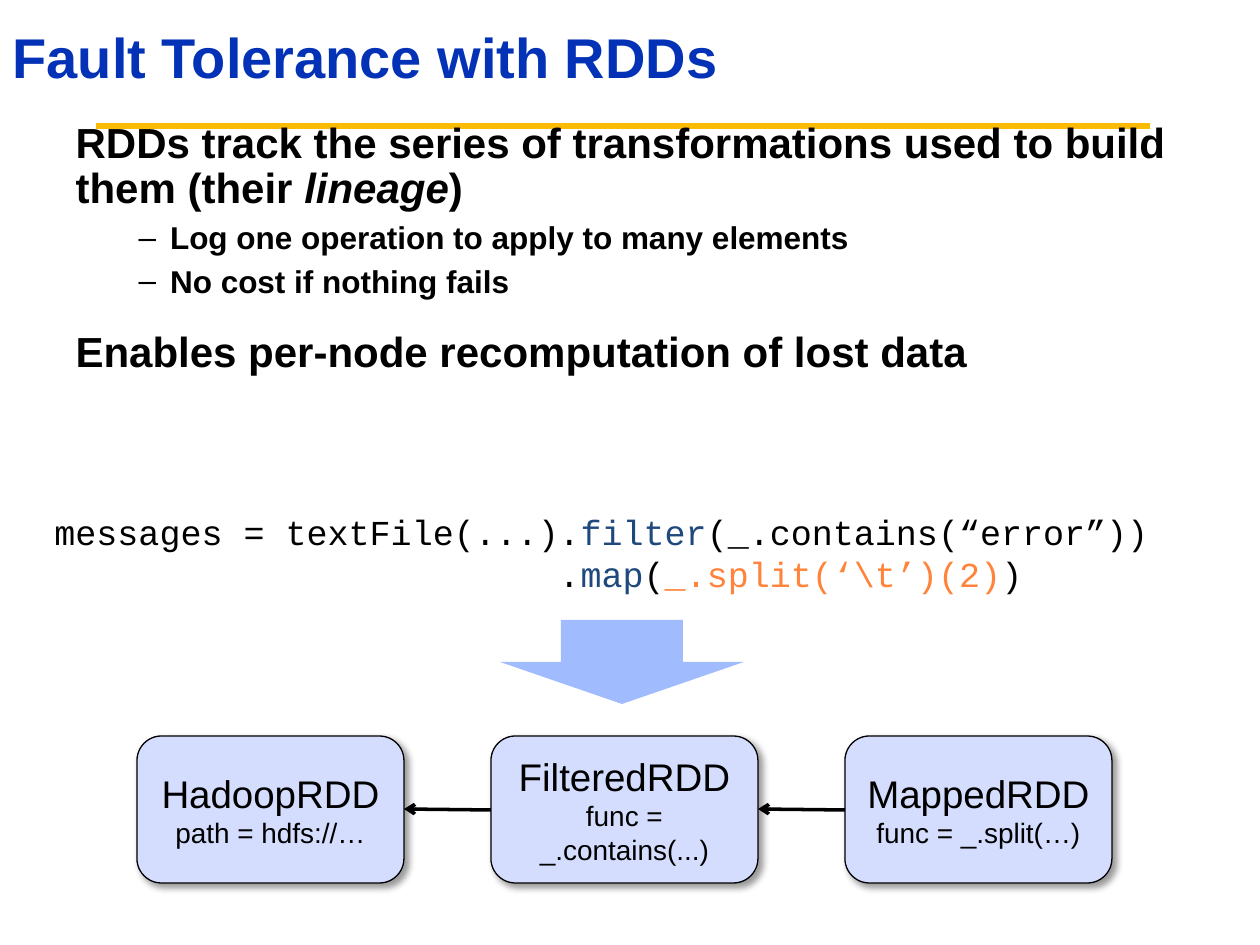
from lxml import etree
from pptx import Presentation
from pptx import util as u
from pptx.dml.color import RGBColor
from pptx.enum import shapes, text
from pptx.oxml import ns

COLORS = {
    "title": "0332B7", "ink": "000000", "rule": "FBBA03", "call": "1F497D",
    "split": "FF833B", "node": "D4DDFE", "flow": "A0BCFE",
}
SCALE = u.Inches(1) / 126


def px(length):
    """Turn px into EMU."""
    return u.Emu(round(length * SCALE))


def add_xml(parent, tag, **attributes):
    """Append a drawing element to a parent."""
    values = {name: str(value) for name, value in attributes.items()}
    return etree.SubElement(parent, ns.qn(tag), values)


class SlideBuilder:
    """Holds the style and the current slide."""

    def __init__(self, slide):
        """Keep the slide and its fonts."""
        self.slide = slide
        self.sans = "Arial"
        self.mono = "Courier New"

    def color(self, name):
        """Look up a colour."""
        return RGBColor.from_string(COLORS[name])

    def run(self, paragraph, words, size, color="ink", font=None, bold=None, italic=None):
        """Add one formatted run."""
        run = paragraph.add_run()
        run.text = words
        run.font.name = font or self.sans
        run.font.size = u.Pt(size)
        run.font.bold = bold
        run.font.italic = italic
        run.font.color.rgb = self.color(color)

    def place(self, holder, left, top, width, height):
        """Move a placeholder and return its text frame."""
        holder.left, holder.top = px(left), px(top)
        holder.width, holder.height = px(width), px(height)
        holder.text_frame.auto_size = text.MSO_AUTO_SIZE.NONE
        return holder.text_frame

    def title(self, words, *box):
        """Fill the title placeholder."""
        frame = self.place(self.slide.shapes.title, *box)
        frame.vertical_anchor = text.MSO_ANCHOR.MIDDLE
        heading = frame.paragraphs[0]
        heading.alignment = text.PP_ALIGN.LEFT
        heading.line_spacing = 0.9
        self.run(heading, words, 32, "title", bold=True)

    def body(self, points, *box):
        """Fill the body placeholder with (level, runs) points."""
        frame = self.place(self.slide.placeholders[1], *box)
        frame.vertical_anchor = text.MSO_ANCHOR.TOP
        for index, (level, runs) in enumerate(points):
            point = frame.add_paragraph() if index else frame.paragraphs[0]
            point.level = level
            point.line_spacing = 0.9
            point.space_before = u.Pt((5.4 if level else 18) if index else 0)
            properties = point._p.get_or_add_pPr()
            properties.set("marL", str(u.Inches(0.75 * level)))
            properties.set("indent", str(u.Inches(-0.25 * level)))
            if level:
                add_xml(properties, "a:buChar", char="–")
            else:
                add_xml(properties, "a:buNone")
            for words, italic in runs:
                self.run(point, words, 18 if level else 24, bold=True, italic=italic)

    def code(self, lines, left, top, width, height):
        """Add code lines made of (words, colour) runs."""
        listing = self.slide.shapes.add_textbox(px(left), px(top), px(width), px(height))
        frame = listing.text_frame
        frame.word_wrap = True
        for index, runs in enumerate(lines):
            line = frame.add_paragraph() if index else frame.paragraphs[0]
            for words, color in runs:
                self.run(line, words, 20, color, self.mono)

    def block(self, kind, fill, left, top, width, height):
        """Add a filled preset shape without outline."""
        block = self.slide.shapes.add_shape(kind, px(left), px(top), px(width), px(height))
        block.shadow.inherit = False
        block.fill.solid()
        block.fill.fore_color.rgb = self.color(fill)
        block.line.fill.background()
        return block

    def node(self, name, detail, *box):
        """Add a shadowed dataset node with two lines of text."""
        node = self.block(shapes.MSO_SHAPE.ROUNDED_RECTANGLE, "node", *box)
        node.line.color.rgb = self.color("ink")
        node.line.width = u.Pt(0.75)
        effects = node._element.spPr.find(ns.qn("a:effectLst"))
        shadow = add_xml(effects, "a:outerShdw", blurRad=u.Pt(4), dist=u.Pt(3),
                         dir=45 * 60000, algn="tl", rotWithShape=0)
        add_xml(add_xml(shadow, "a:srgbClr", val=COLORS["ink"]), "a:alpha", val=40000)
        frame = node.text_frame
        frame.word_wrap = True
        frame.margin_left = frame.margin_right = 0
        frame.vertical_anchor = text.MSO_ANCHOR.MIDDLE
        for line, words, size in ((frame.paragraphs[0], name, 22),
                                  (frame.add_paragraph(), detail, 16)):
            line.alignment = text.PP_ALIGN.CENTER
            self.run(line, words, size)

    def line(self, start, end, color, width, arrow=False):
        """Add a straight line, with an arrowhead at its end if asked."""
        line = self.slide.shapes.add_connector(
            shapes.MSO_CONNECTOR.STRAIGHT, *map(px, start + end))
        line.line.color.rgb = self.color(color)
        line.line.width = u.Pt(width)
        if arrow:
            add_xml(line.line._get_or_add_ln(), "a:tailEnd", type="arrow")
        add_xml(line._element.spPr, "a:effectLst")
        return line

    def rule(self, start, end):
        """Add the title rule behind everything else."""
        rule = self.line(start, end, "rule", 3.75)
        self.slide.shapes._spTree.insert(2, rule._element)


def main():
    """Build the slide."""
    deck = Presentation()
    deck.slide_width, deck.slide_height = px(1260), px(945)
    builder = SlideBuilder(deck.slides.add_slide(deck.slide_layouts[1]))

    builder.rule((96, 126), (1150, 126))
    builder.title("Fault Tolerance with RDDs", 0, 0, 1260, 120)
    builder.body([
        (0, [("RDDs track the series of transformations used to build them (their ", False),
             ("lineage", True), (")", False)]),
        (1, [("Log one operation to apply to many elements", False)]),
        (1, [("No cost if nothing fails", False)]),
        (0, [("Enables per-node recomputation of lost data", False)]),
    ], 63, 116, 1144, 914)
    builder.code([
        [("messages = textFile(...).", "ink"), ("filter", "call"),
         ("(_.contains(“error”))", "ink")],
        [("                        .", "ink"), ("map", "call"), ("(", "ink"),
         ("_.split(‘\\t’)(2)", "split"), (")", "ink")],
    ], 42, 504, 1176, 136)

    lineage = [("HadoopRDD", "path = hdfs://…"),
               ("FilteredRDD", "func = _.contains(...)"),
               ("MappedRDD", "func = _.split(…)")]
    left, top, width, height, pitch = 137, 736, 267, 147, 354
    for index, (name, detail) in enumerate(lineage):
        builder.node(name, detail, left + index * pitch, top, width, height)
    for index in range(1, len(lineage)):
        child = left + index * pitch
        builder.line((child, 810), (child - pitch + width, 809), "ink", 2, arrow=True)
    builder.block(shapes.MSO_SHAPE.DOWN_ARROW, "flow", 500, 620, 244, 84)
    deck.save("out.pptx")


if __name__ == "__main__":
    main()
